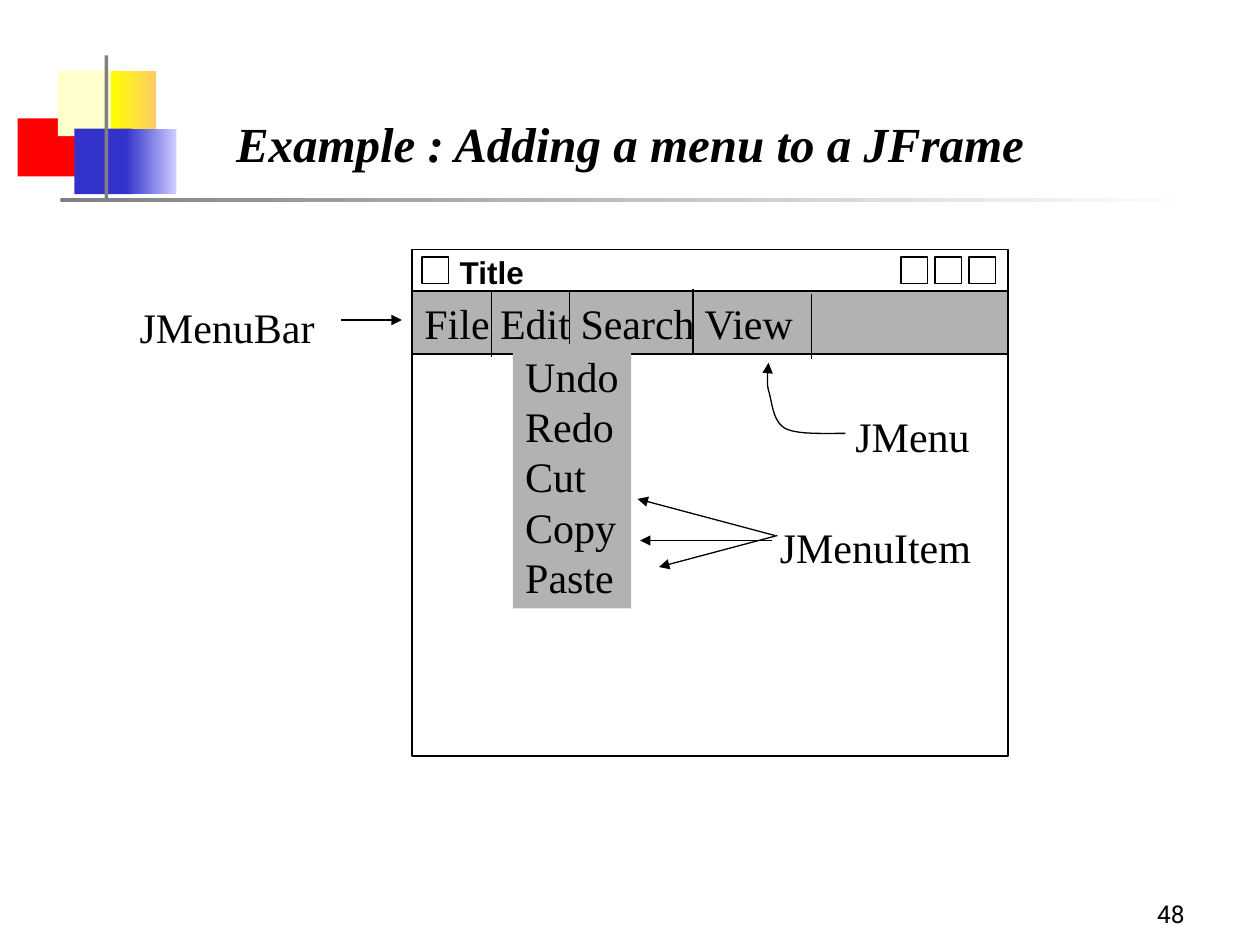
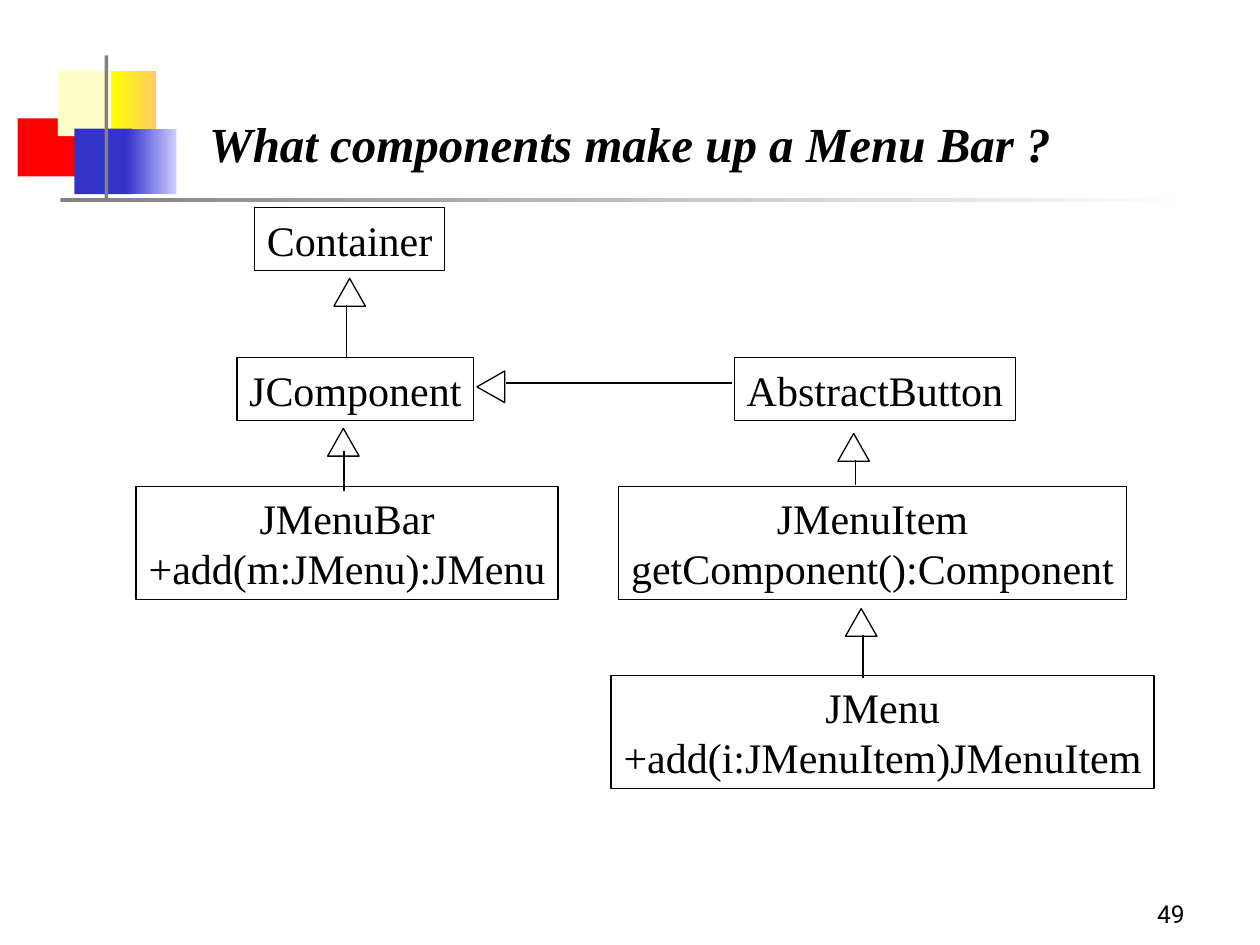
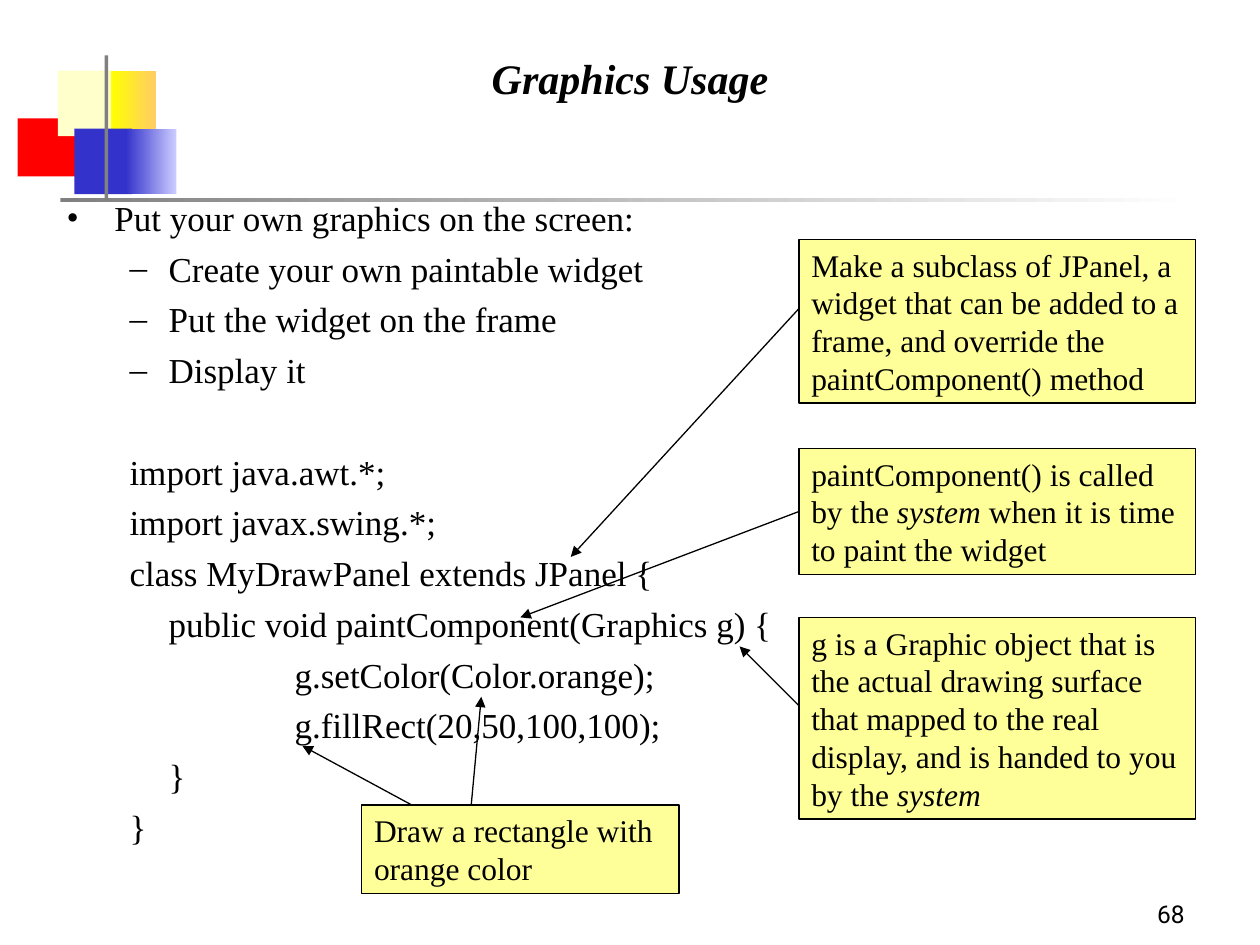
"""Build three slides on Swing menus and custom graphics."""
from lxml import etree
from pptx import Presentation
from pptx.dml.color import RGBColor
from pptx.enum.shapes import MSO_CONNECTOR, MSO_SHAPE
from pptx.enum.text import MSO_ANCHOR, MSO_AUTO_SIZE, PP_ALIGN
from pptx.oxml.ns import qn
from pptx.util import Inches, Pt

COLORS = {
    "black": "000000", "white": "FFFFFF", "grey": "808080", "menu": "B2B2B2",
    "red": "FF0000", "cream": "FFFFCC", "yellow": "FFFF00", "gold": "FFCC66",
    "blue": "3333CC", "pale blue": "CCCCFF", "note": "FFFF99",
}
SERIF, SANS, NUMBER_FONT = "Times New Roman", "Arial", "Roboto"
RECTANGLE, TRIANGLE = MSO_SHAPE.RECTANGLE, MSO_SHAPE.ISOSCELES_TRIANGLE
STRAIGHT = MSO_CONNECTOR.STRAIGHT
LEFT, CENTER, RIGHT = PP_ALIGN.LEFT, PP_ALIGN.CENTER, PP_ALIGN.RIGHT
TOP, MIDDLE, BOTTOM = MSO_ANCHOR.TOP, MSO_ANCHOR.MIDDLE, MSO_ANCHOR.BOTTOM
GROW = MSO_AUTO_SIZE.SHAPE_TO_FIT_TEXT
LEFT_SIDE = 1
LINE_HEIGHT = 1.2

MOTIF = [
    ((0.14, 0.94, 0.61, 0.46), "red"),
    ((0.48, 1.57, 9, 0.03), ("grey", "white")),
    ((0.46, 0.56, 0.48, 0.52), "cream"),
    ((0.88, 0.56, 0.36, 0.52), ("yellow", "gold")),
    ((0.59, 1.02, 0.46, 0.52), "blue"),
    ((1, 1.02, 0.4, 0.52), ("blue", "pale blue")),
    ((0.83, 0.44, 0.03, 1.15), "grey"),
]

LEVELS = {
    "point": (0.38, 0.38, "•"),
    "sub": (0.81, 0.31, "–"),
    "class": (0.5,),
    "method": (0.81,),
    "statement": (1.81,),
}


def rgb(name):
    """Return the named colour."""
    return RGBColor.from_string(COLORS[name])


def write(paragraph, text, size=24, font=SERIF, bold=False, italic=False, align=LEFT, before=0):
    """Write text into a paragraph; parts between bars are italic."""
    paragraph.alignment = align
    paragraph.line_spacing = Pt(size * LINE_HEIGHT)
    paragraph.space_before = Pt(before)
    for index, part in enumerate(text.split("|")):
        if part:
            run = paragraph.add_run()
            run.text = part
            run.font.name, run.font.size = font, Pt(size)
            run.font.bold = bold
            run.font.italic = italic or index % 2 == 1
            run.font.color.rgb = rgb("black")


def indent(paragraph, margin, hanging=0, bullet=None):
    """Set the left margin, with a hanging bullet if given."""
    properties = paragraph._p.get_or_add_pPr()
    properties.set("marL", str(Inches(margin)))
    properties.set("indent", str(-Inches(hanging)))
    if bullet:
        etree.SubElement(properties, qn("a:buFont"), typeface=SERIF)
        etree.SubElement(properties, qn("a:buChar"), char=bullet)
    else:
        etree.SubElement(properties, qn("a:buNone"))


class Deck:
    """Holds the style and the current slide."""

    def __init__(self):
        """Start an empty presentation."""
        self.presentation = Presentation()
        self.presentation.slide_width = Inches(10)
        self.presentation.slide_height = Inches(7.5)
        self.slide = None

    def new_slide(self, title, number, place=(0.75, 0.67, 8.5, 0.75), size=28, anchor=BOTTOM):
        """Add a slide with the motif, title and number."""
        self.slide = self.presentation.slides.add_slide(self.presentation.slide_layouts[6])
        for block, fill in MOTIF:
            self.shape(block, fill, outlined=False)
        self.text(place, title, anchor=anchor, size=size, bold=True, italic=True, align=CENTER)
        self.text((7.42, 6.92, 2.08, 0.5), number, anchor=BOTTOM, size=14, font=NUMBER_FONT,
                  align=RIGHT)

    def shape(self, place, fill=None, outlined=True, kind=RECTANGLE, rotation=0):
        """Add a preset shape; a pair of colours makes a gradient."""
        shape = self.slide.shapes.add_shape(kind, *map(Inches, place))
        shape.shadow.inherit = False
        shape.rotation = rotation
        if fill is None:
            shape.fill.background()
        elif isinstance(fill, tuple):
            shape.fill.gradient()
            shape.fill.gradient_angle = 0
            for stop, name in zip(shape.fill.gradient_stops, fill):
                stop.color.rgb = rgb(name)
        else:
            shape.fill.solid()
            shape.fill.fore_color.rgb = rgb(fill)
        if outlined:
            self.outline(shape)
        else:
            shape.line.fill.background()
        return shape

    def outline(self, shape, arrow=False):
        """Give a shape or connector the thin black line."""
        shape.line.color.rgb = rgb("black")
        shape.line.width = Pt(0.75)
        if arrow:
            etree.SubElement(shape.line._get_or_add_ln(), qn("a:tailEnd"), type="triangle")

    def fill_text(self, shape, text, wrap=True, grow=False, anchor=TOP, side=0.1, **style):
        """Put lines of text into a shape."""
        frame = shape.text_frame
        frame.word_wrap = wrap
        frame.vertical_anchor = anchor
        frame.margin_left = frame.margin_right = Inches(side)
        if grow:
            frame.auto_size = GROW
        for index, line in enumerate(text.split("\n")):
            paragraph = frame.add_paragraph() if index else frame.paragraphs[0]
            write(paragraph, line, **style)

    def text(self, place, text, **style):
        """Add a text box."""
        self.fill_text(self.slide.shapes.add_textbox(*map(Inches, place)), text, **style)

    def label(self, place, text, **style):
        """Add a text box as wide as its text."""
        self.text(place, text, wrap=False, grow=True, **style)

    def box(self, place, text, fill=None, outlined=True, grow=True, **style):
        """Add a rectangle with text."""
        shape = self.shape(place, fill, outlined)
        self.fill_text(shape, text, grow=grow, **style)
        return shape

    def line(self, start, end, arrow=False, source=None):
        """Add a straight line, joined to the left side of a source if given."""
        connector = self.slide.shapes.add_connector(STRAIGHT, *map(Inches, start + end))
        self.outline(connector, arrow)
        etree.SubElement(connector._element.spPr, qn("a:effectLst"))
        if source is not None:
            connector.begin_connect(source, LEFT_SIDE)

    def curve(self, start, segments, steps=12):
        """Add an open Bezier curve that ends in an arrow."""
        points, current = [], start
        for first, second, end in segments:
            for step in range(1, steps + 1):
                t = step / steps
                weights = ((1 - t) ** 3, 3 * t * (1 - t) ** 2, 3 * t * t * (1 - t), t ** 3)
                corners = (current, first, second, end)
                points.append(tuple(
                    Inches(sum(weight * corner[axis] for weight, corner in zip(weights, corners)))
                    for axis in (0, 1)))
            current = end
        builder = self.slide.shapes.build_freeform(*map(Inches, start))
        builder.add_line_segments(points, close=False)
        shape = builder.convert_to_shape()
        shape.shadow.inherit = False
        shape.fill.background()
        self.outline(shape, arrow=True)

    def outline_list(self, place, rows):
        """Add a text box of (level, text, space before) bullets and code lines."""
        frame = self.slide.shapes.add_textbox(*map(Inches, place)).text_frame
        frame.word_wrap = True
        for index, (level, text, before) in enumerate(rows):
            paragraph = frame.add_paragraph() if index else frame.paragraphs[0]
            indent(paragraph, *LEVELS[level])
            write(paragraph, text, size=20, before=before)


def menu_example(deck):
    """Draw a window with its menu parts named."""
    deck.new_slide("Example : Adding a menu to a JFrame", "48")
    deck.shape((3.27, 1.98, 4.73, 4.02), "white")
    for left in (3.35, 7.15, 7.42, 7.69):
        deck.shape((left, 2.04, 0.21, 0.21), "white")
    deck.label((3.55, 1.96, 0.71, 0.4), "Title", size=18, font=SANS, bold=True)
    deck.box((3.27, 2.31, 4.73, 0.5), "File Edit Search View", "menu", grow=False, anchor=MIDDLE)
    for x, top in ((3.9, 2.31), (4.52, 2.31), (5.5, 2.29), (6.44, 2.33)):
        deck.line((x, top), (x, top + 0.52))
    deck.box((4.07, 2.73, 0.94, 2.1), "Undo\nRedo\nCut\nCopy\nPaste", "menu", outlined=False,
             wrap=False)
    deck.label((6.09, 4.09, 1.72, 0.5), "JMenuItem")
    deck.label((6.69, 3.21, 1.11, 0.5), "JMenu")
    deck.label((1.01, 2.34, 1.59, 0.5), "JMenuBar")
    for start, end in (((2.71, 2.54), (3.19, 2.54)), ((6.13, 4.29), (5.08, 4.29)),
                       ((6.17, 4.25), (5.23, 4.5)), ((6.15, 4.25), (5.06, 3.96))):
        deck.line(start, end, arrow=True)
    deck.curve((6.71, 3.44), [
        ((6.52, 3.44), (6.33, 3.45), (6.23, 3.4)),
        ((6.13, 3.34), (6.13, 3.19), (6.1, 3.1)),
        ((6.08, 3.02), (6.1, 2.91), (6.1, 2.88)),
    ])


def menu_classes(deck):
    """Draw the class diagram of the menu parts."""
    deck.new_slide("What components make up a Menu Bar ?", "49")
    for place, text in (
        ((4.91, 3.86, 4.03, 0.9), "JMenuItem\ngetComponent():Component"),
        ((4.85, 5.36, 4.31, 0.9), "JMenu\n+add(i:JMenuItem)JMenuItem"),
        ((1.08, 3.86, 3.35, 0.9), "JMenuBar\n+add(m:JMenu):JMenu"),
        ((2.02, 1.65, 1.51, 0.5), "Container"),
        ((1.88, 2.84, 1.88, 0.5), "JComponent"),
        ((5.83, 2.84, 2.23, 0.5), "AbstractButton"),
    ):
        deck.box(place, text, grow=False, side=0.05, align=CENTER)
    for left, top, rotation in ((2.65, 2.21, 0), (2.6, 3.4, 0), (6.65, 3.44, 0),
                                (6.71, 4.83, 0), (3.77, 2.96, 270)):
        deck.shape((left, top, 0.25, 0.22), kind=TRIANGLE, rotation=rotation)
    for start, end in (((2.75, 2.42), (2.75, 2.83)), ((2.73, 3.58), (2.73, 3.9)),
                       ((6.79, 3.65), (6.79, 3.85)), ((6.85, 5.04), (6.85, 5.38)),
                       ((4.02, 3.04), (5.81, 3.04))):
        deck.line(start, end)


def graphics_usage(deck):
    """Show the painting code with notes."""
    deck.new_slide("Graphics Usage", "68", place=(0.75, 0.33, 8.5, 0.58), size=24, anchor=MIDDLE)
    deck.outline_list((0.43, 1.51, 6.06, 5.67), [
        ("point", "Put your own graphics on the screen:", 0),
        ("sub", "Create your own paintable widget", 5),
        ("sub", "Put the widget on the frame", 5),
        ("sub", "Display it", 5),
        ("class", "import java.awt.*;", 34),
        ("class", "import javax.swing.*;", 5),
        ("class", "class MyDrawPanel extends JPanel {", 5),
        ("method", "public void paintComponent(Graphics g) {", 5),
        ("statement", "g.setColor(Color.orange);", 5),
        ("statement", "g.fillRect(20,50,100,100);", 5),
        ("method", "}", 5),
        ("class", "}", 5),
    ])
    deck.box((6.34, 1.9, 3.15, 1.3), "Make a subclass of JPanel, a widget that can be added to a "
             "frame, and override the paintComponent() method", "note", size=18)
    system_note = deck.box((6.34, 3.56, 3.15, 1), "paintComponent() is called by the |system| "
                           "when it is time to paint the widget", "note", size=18)
    deck.box((6.34, 4.9, 3.15, 1.6), "g is a Graphic object that is the actual drawing surface "
             "that mapped to the real display, and is handed to you by the |system|", "note",
             size=18)
    deck.box((2.87, 6.39, 2.52, 0.7), "Draw a rectangle with orange color", "note", size=18)
    for start, end, source in (
        ((6.34, 2.45), (4.53, 4.42), None),
        ((6.34, 4.06), (4.13, 4.9), system_note),
        ((6.34, 5.6), (5.87, 5.13), None),
        ((3.74, 6.39), (3.82, 5.53), None),
        ((3.27, 6.39), (2.4, 5.92), None),
    ):
        deck.line(start, end, arrow=True, source=source)


def main():
    """Build and save the presentation."""
    deck = Deck()
    menu_example(deck)
    menu_classes(deck)
    graphics_usage(deck)
    deck.presentation.save("out.pptx")


if __name__ == "__main__":
    main()
